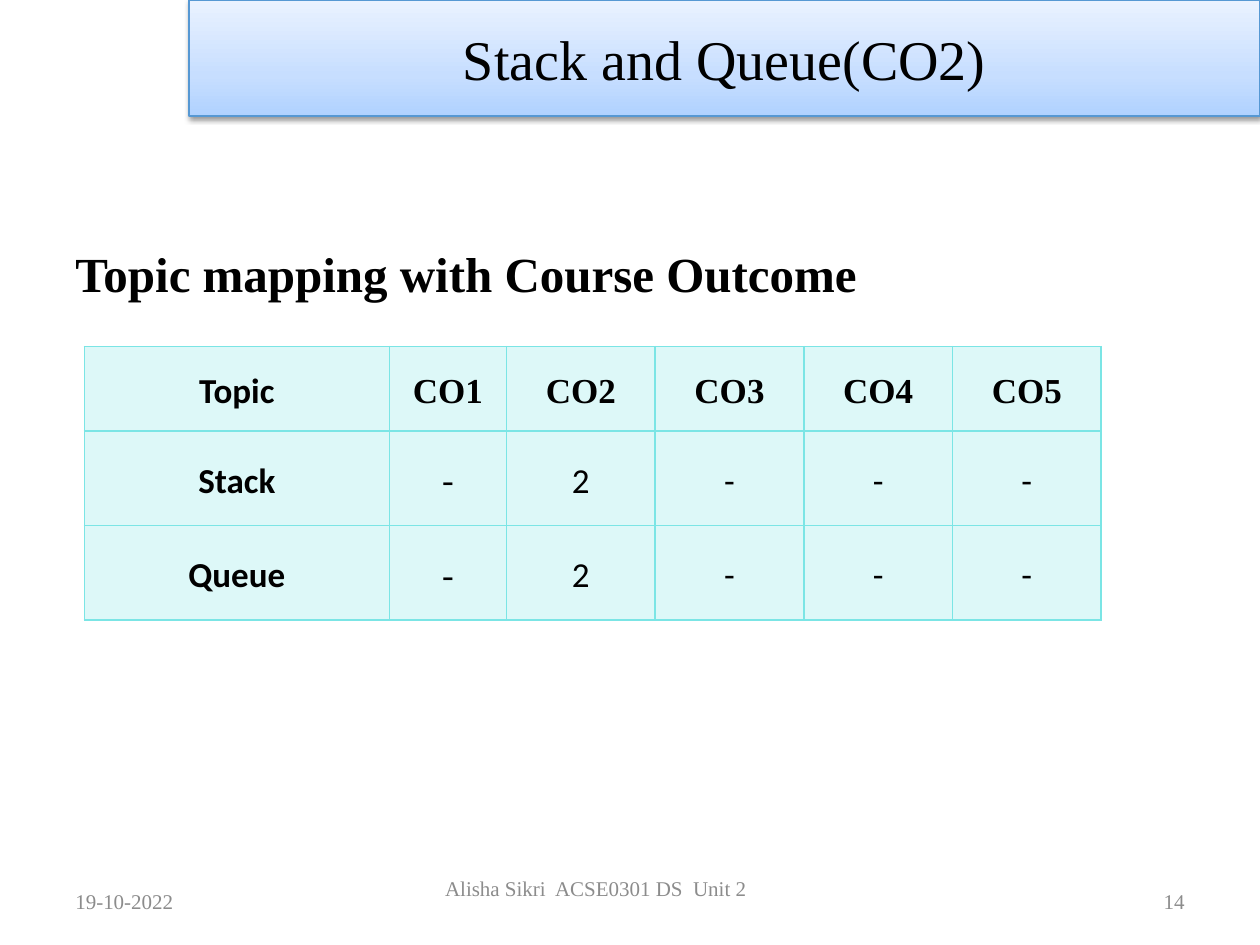
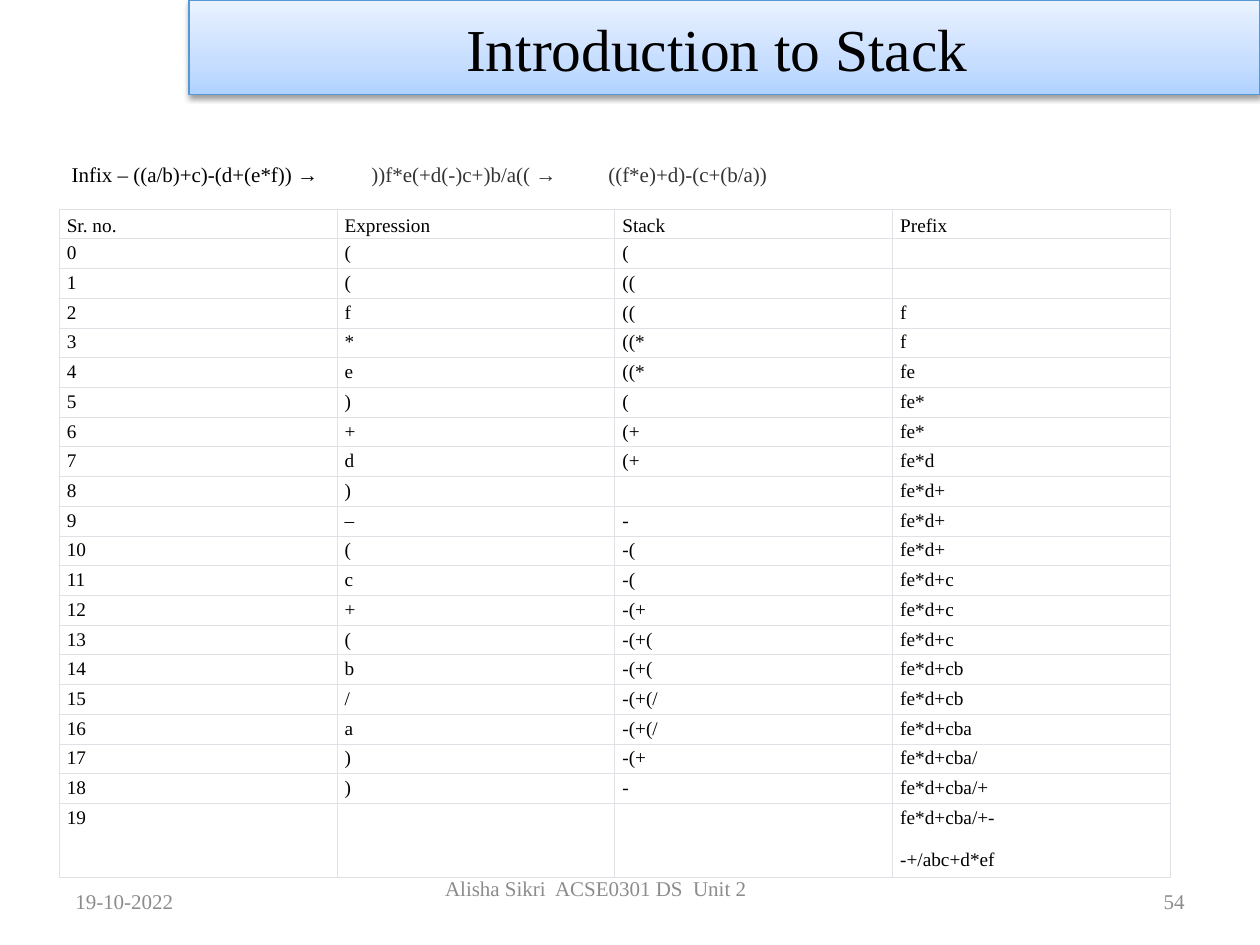
import pptx
import pptx.util
import pptx.dml.color
import pptx.enum.text
import pptx.oxml
import pptx.oxml.ns
from lxml import etree

Inches, Pt = pptx.util.Inches, pptx.util.Pt
RGB = pptx.dml.color.RGBColor
ALIGN = pptx.enum.text.PP_ALIGN
ANCHOR = pptx.enum.text.MSO_ANCHOR
qn = pptx.oxml.ns.qn

BLACK = RGB(0x00, 0x00, 0x00)
WHITE = RGB(0xFF, 0xFF, 0xFF)
GREY = RGB(0x8C, 0x8C, 0x8C)
DARK = RGB(0x34, 0x34, 0x34)
AQUA = RGB(0x7B, 0xE5, 0xE5)
RULE = RGB(0xDE, 0xE2, 0xE6)
EDGE = RGB(0x56, 0x98, 0xD3)
BLEND = [(0, RGB(0xB0, 0xD2, 0xFF)), (35, RGB(0xC7, 0xDE, 0xFF)), (100, RGB(0xEA, 0xF2, 0xFF))]
SERIF, SANS = "Times New Roman", "Calibri"

TOPICS = [
    ["Topic", "CO1", "CO2", "CO3", "CO4", "CO5"],
    ["Stack", "-", "2", "-", "-", "-"],
    ["Queue", "-", "2", "-", "-", "-"],
]
HEADS = ["Sr. no.", "Expression", "Stack", "Prefix"]
STEPS = [
    ("(", "(", ""), ("(", "((", ""), ("f", "((", "f"), ("*", "((*", "f"),
    ("e", "((*", "fe"), (")", "(", "fe*"), ("+", "(+", "fe*"), ("d", "(+", "fe*d"),
    (")", "", "fe*d+"), ("–", "-", "fe*d+"), ("(", "-(", "fe*d+"), ("c", "-(", "fe*d+c"),
    ("+", "-(+", "fe*d+c"), ("(", "-(+(", "fe*d+c"), ("b", "-(+(", "fe*d+cb"),
    ("/", "-(+(/", "fe*d+cb"), ("a", "-(+(/", "fe*d+cba"), (")", "-(+", "fe*d+cba/"),
    (")", "-", "fe*d+cba/+"), ("", "", "fe*d+cba/+-\n-+/abc+d*ef"),
]


def style(para, size, color=BLACK, face=SERIF, bold=False):
    """Format every run of a paragraph."""
    for run in para.runs:
        run.font.size, run.font.name, run.font.bold = Pt(size), face, bold
        run.font.color.rgb = color


def add_text(slide, box, text, size, color=BLACK, align=ALIGN.LEFT, bold=False):
    """Add a wrapped text box and return its frame."""
    frame = slide.shapes.add_textbox(*map(Inches, box)).text_frame
    frame.word_wrap = True
    frame.text = text
    frame.paragraphs[0].alignment = align
    style(frame.paragraphs[0], size, color, bold=bold)
    return frame


def add_band(slide, box, text, size):
    """Turn the title placeholder into the shaded band at the top."""
    title = slide.shapes.title
    title.left, title.top, title.width, title.height = map(Inches, box)
    stops = "".join(f'<a:gs pos="{pos * 1000}"><a:srgbClr val="{tint}"/></a:gs>' for pos, tint in BLEND)
    look = pptx.oxml.parse_xml(
        f'<a:look xmlns:a="{pptx.oxml.ns.nsuri("a")}">'
        '<a:prstGeom prst="rect"><a:avLst/></a:prstGeom>'
        f'<a:gradFill><a:gsLst>{stops}</a:gsLst><a:lin ang="16200000" scaled="0"/></a:gradFill>'
        f'<a:ln w="{Pt(0.75)}"><a:solidFill><a:srgbClr val="{EDGE}"/></a:solidFill></a:ln>'
        '<a:effectLst><a:outerShdw blurRad="40000" dist="20000" dir="5400000" rotWithShape="0">'
        '<a:srgbClr val="000000"><a:alpha val="38000"/></a:srgbClr></a:outerShdw></a:effectLst>'
        '</a:look>')
    title.element.spPr.extend(list(look))
    frame = title.text_frame
    frame.text = text
    frame.auto_size = pptx.enum.text.MSO_AUTO_SIZE.NONE
    frame.vertical_anchor = ANCHOR.MIDDLE
    frame.paragraphs[0].alignment = ALIGN.CENTER
    style(frame.paragraphs[0], size)


def add_foot(slide, top, page):
    """Place the date, the course line and the page number."""
    date = add_text(slide, (0.5, top, 2.33, 0.4), "19-10-2022", 12, GREY)
    number = add_text(slide, (7.17, top, 2.33, 0.4), page, 12, GREY, ALIGN.RIGHT)
    date.vertical_anchor = number.vertical_anchor = ANCHOR.MIDDLE
    course = add_text(slide, (3.42, top, 3.17, 0.4), "Alisha Sikri  ACSE0301 DS  Unit 2", 12, GREY, ALIGN.CENTER)
    course.margin_top, course.margin_right = 0, Inches(0.65)


def add_grid(slide, box, rows, widths, heights):
    """Add a plain table with its texts, column widths and row heights."""
    frame = slide.shapes.add_table(len(rows), len(widths), *map(Inches, box))
    table = frame.table
    table.first_row = table.horz_banding = False
    for col, width in zip(table.columns, widths):
        col.width = width
    for line, height, texts in zip(table.rows, heights, rows):
        line.height = height
        for cell, text in zip(line.cells, texts):
            cell.text_frame.text = text
    return table


def dress(cell, color, width, fill, side, top, base, alpha=100):
    """Set the borders, fill and margins of a cell."""
    props = cell._tc.get_or_add_tcPr()
    for edge in ("a:lnL", "a:lnR", "a:lnT", "a:lnB"):
        line = etree.SubElement(props, qn(edge), w=str(Pt(width)))
        solid = etree.SubElement(line, qn("a:solidFill"))
        etree.SubElement(solid, qn("a:srgbClr"), val=str(color))
    cell.fill.solid()
    cell.fill.fore_color.rgb = fill
    if alpha < 100:
        tint = props.find(qn("a:solidFill")).find(qn("a:srgbClr"))
        etree.SubElement(tint, qn("a:alpha"), val=str(alpha * 1000))
    cell.margin_left = cell.margin_right = Inches(side)
    cell.margin_top, cell.margin_bottom = Inches(top), Inches(base)


def add_map(slide, box):
    """Add the table that maps topics to outcomes."""
    widths = [Inches(w) for w in [2.42, 0.93] + [1.18] * 4]
    table = add_grid(slide, box, TOPICS, widths, map(Inches, (0.67, 0.75, 0.75)))
    for row, line in enumerate(table.rows):
        for col, cell in enumerate(line.cells):
            dress(cell, AQUA, 1, AQUA, 0.07, 0, 0, 25)
            cell.vertical_anchor = ANCHOR.MIDDLE
            para = cell.text_frame.paragraphs[0]
            para.alignment, para.line_spacing = ALIGN.CENTER, 1.15
            if row and col:
                para.space_after = Pt(10)
            serif = col == 1 or (row == 0 and col > 0)
            style(para, 20, face=SERIF if serif else SANS, bold=row == 0 or col == 0)


def add_trace(slide, box):
    """Add the table that traces the conversion step by step."""
    rows = [HEADS] + [(str(num), *step) for num, step in enumerate(STEPS)]
    widths = [Inches(box[2]) // len(HEADS)] * len(HEADS)
    heights = [Pt(17)] * len(STEPS) + [Inches(0.56)]
    table = add_grid(slide, box, rows, widths, heights)
    for row, line in enumerate(table.rows):
        for cell in line.cells:
            dress(cell, RULE, 0.6, WHITE, 0.06, 0.03, 0.02)
            cell.vertical_anchor = ANCHOR.TOP if row else ANCHOR.BOTTOM
            for spot, para in enumerate(cell.text_frame.paragraphs):
                style(para, 11)
                if spot:
                    para.space_before = Pt(12)
                if not para.runs:
                    etree.SubElement(para._p, qn("a:endParaRPr"), sz="1100")


def add_infix(slide, box):
    """Add the line with the infix expression and its reversals."""
    para = add_text(slide, box, "Infix – ((a/b)+c)-(d+(e*f)) →", 12).paragraphs[0]
    tabs = etree.SubElement(para._p.get_or_add_pPr(), qn("a:tabLst"))
    for stop in (2.38, 4.26):
        etree.SubElement(tabs, qn("a:tab"), pos=str(Inches(stop)), algn="l")
    tail = para.add_run()
    tail.text = "\t))f*e(+d(-)c+)b/a(( →\t((f*e)+d)-(c+(b/a))"
    tail.font.size, tail.font.name = Pt(12), SERIF
    tail.font.color.rgb = DARK


def add_page(deck, title, size, height):
    """Add a slide with its title band."""
    slide = deck.slides.add_slide(deck.slide_layouts[5])
    add_band(slide, (1.5, 0, 8.5, height), title, size)
    return slide


def main():
    """Build and save the two slides."""
    deck = pptx.Presentation()
    deck.slide_width, deck.slide_height = Inches(10), Inches(7.5)

    topic = add_page(deck, "Stack and Queue(CO2)", 32, 0.92)
    head = add_text(topic, (0.5, 1.25, 9, 4.95), "Topic mapping with Course Outcome", 28, bold=True)
    head.margin_top = Inches(0.68)
    add_map(topic, (0.67, 2.75, 8.08, 2.16))
    add_foot(topic, 6.95, "14")

    stack = add_page(deck, "Introduction to Stack ", 34, 0.75)
    add_infix(stack, (0.47, 1.23, 8.7, 0.3))
    add_trace(stack, (0.47, 1.66, 8.82, 5.28))
    add_foot(stack, 6.95, "54")

    deck.save("out.pptx")


if __name__ == "__main__":
    main()
